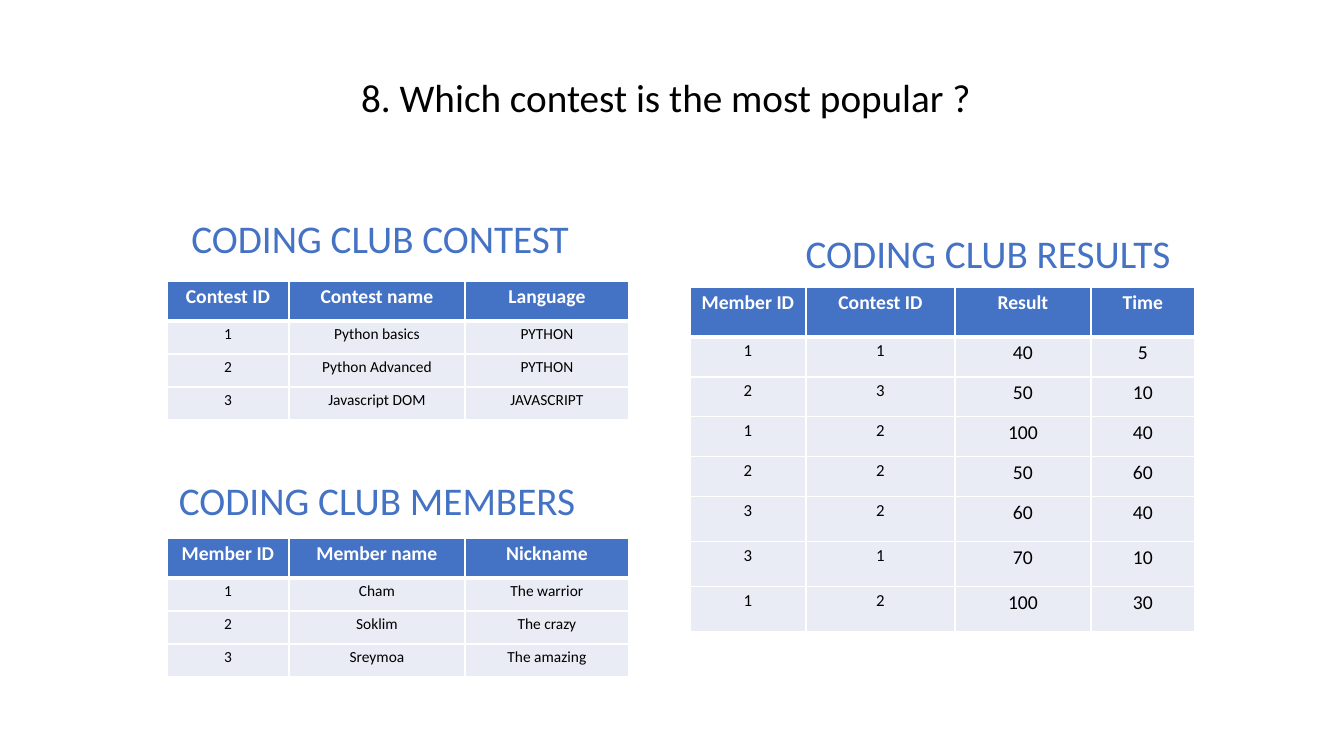
from lxml.etree import SubElement
from pptx import Presentation
from pptx.dml.color import RGBColor
from pptx.enum.text import MSO_ANCHOR, MSO_AUTO_SIZE, PP_ALIGN
from pptx.oxml.ns import qn
from pptx.util import Emu, Pt

FONT = "Calibri"
BLUE, PALE, WHITE, BLACK = "4472C4", "E9EBF5", "FFFFFF", "000000"

TITLE = ("8. Which contest is the most popular ?", (351, 68, 637, 58))

# Each section: heading, heading box, table corner, column widths,
# row heights, text size of each body column, and rows of text.
SECTIONS = [
    {
        "heading": "CODING CLUB RESULTS",
        "heading_box": (680, 224, 616, 58),
        "corner": (690, 287),
        "columns": [116, 149, 136, 104],
        "rows": [50] + [40] * 4 + [45] * 3,
        "sizes": [12, 12, 14, 14],
        "cells": [
            ("Member ID", "Contest ID", "Result", "Time"),
            ("1", "1", "40", "5"),
            ("2", "3", "50", "10"),
            ("1", "2", "100", "40"),
            ("2", "2", "50", "60"),
            ("3", "2", "60", "40"),
            ("3", "1", "70", "10"),
            ("1", "2", "100", "30"),
        ],
    },
    {
        "heading": "CODING CLUB CONTEST",
        "heading_box": (150, 209, 460, 58),
        "corner": (167, 281),
        "columns": [122, 176, 164],
        "rows": [40] + [33] * 3,
        "sizes": [11] * 3,
        "cells": [
            ("Contest ID", "Contest name", "Language"),
            ("1", "Python basics", "PYTHON"),
            ("2", "Python Advanced", "PYTHON"),
            ("3", "Javascript DOM", "JAVASCRIPT"),
        ],
    },
    {
        "heading": "CODING CLUB MEMBERS",
        "heading_box": (147, 471, 460, 58),
        "corner": (167, 538),
        "columns": [122, 176, 164],
        "rows": [40] + [33] * 3,
        "sizes": [11] * 3,
        "cells": [
            ("Member ID", "Member name", "Nickname"),
            ("1", "Cham", "The warrior"),
            ("2", "Soklim", "The crazy"),
            ("3", "Sreymoa", "The amazing"),
        ],
    },
]


def px(length):
    return Emu(round(length * 914400 / 100.8))


def color(value):
    return RGBColor.from_string(value)


def write(frame, text, size=28, ink=BLACK, bold=False, align=PP_ALIGN.CENTER):
    paragraph = frame.paragraphs[0]
    paragraph.alignment = align
    run = paragraph.add_run()
    run.text = text
    run.font.name = FONT
    run.font.size = Pt(size)
    run.font.bold = bold
    run.font.color.rgb = color(ink)


def add_borders(cell, top, bottom):
    """Draw white cell borders: 1 pt at the sides, given widths above and below."""
    properties = cell._tc.get_or_add_tcPr()
    for side, width in (("L", 1), ("R", 1), ("T", top), ("B", bottom)):
        line = SubElement(properties, qn(f"a:ln{side}"), w=str(Pt(width)))
        fill = SubElement(line, qn("a:solidFill"))
        SubElement(fill, qn("a:srgbClr"), val=WHITE)


def format_cell(cell, fill, top, bottom):
    cell.margin_left = cell.margin_right = px(8)
    cell.margin_top = cell.margin_bottom = px(4)
    add_borders(cell, top, bottom)
    cell.fill.solid()
    cell.fill.fore_color.rgb = color(fill)


def add_title(slide, text, box):
    title = slide.shapes.title
    title.left, title.top, title.width, title.height = map(px, box)
    frame = title.text_frame
    frame.word_wrap = False
    frame.auto_size = MSO_AUTO_SIZE.SHAPE_TO_FIT_TEXT
    frame.vertical_anchor = MSO_ANCHOR.TOP
    write(frame, text, align=PP_ALIGN.LEFT)


def add_heading(slide, text, box):
    frame = slide.shapes.add_textbox(*map(px, box)).text_frame
    frame.word_wrap = True
    frame.auto_size = MSO_AUTO_SIZE.SHAPE_TO_FIT_TEXT
    write(frame, text, ink=BLUE)


def add_grid(slide, section):
    columns, rows = section["columns"], section["rows"]
    box = (*section["corner"], sum(columns), sum(rows))
    table = slide.shapes.add_table(len(rows), len(columns), *map(px, box)).table
    for column, width in zip(table.columns, columns):
        column.width = px(width)
    for row, height in zip(table.rows, rows):
        row.height = px(height)
    for row_index, texts in enumerate(section["cells"]):
        header = row_index == 0
        for column_index, text in enumerate(texts):
            cell = table.cell(row_index, column_index)
            format_cell(cell, BLUE if header else PALE,
                        top=3 if row_index == 1 else 1, bottom=3 if header else 1)
            write(cell.text_frame, text, bold=header,
                  size=14 if header else section["sizes"][column_index],
                  ink=WHITE if header else BLACK)


def main():
    presentation = Presentation()
    presentation.slide_width, presentation.slide_height = px(1344), px(756)
    slide = presentation.slides.add_slide(presentation.slide_layouts[5])
    add_title(slide, *TITLE)
    for section in SECTIONS:
        add_grid(slide, section)
        add_heading(slide, section["heading"], section["heading_box"])
    presentation.save("out.pptx")


if __name__ == "__main__":
    main()
